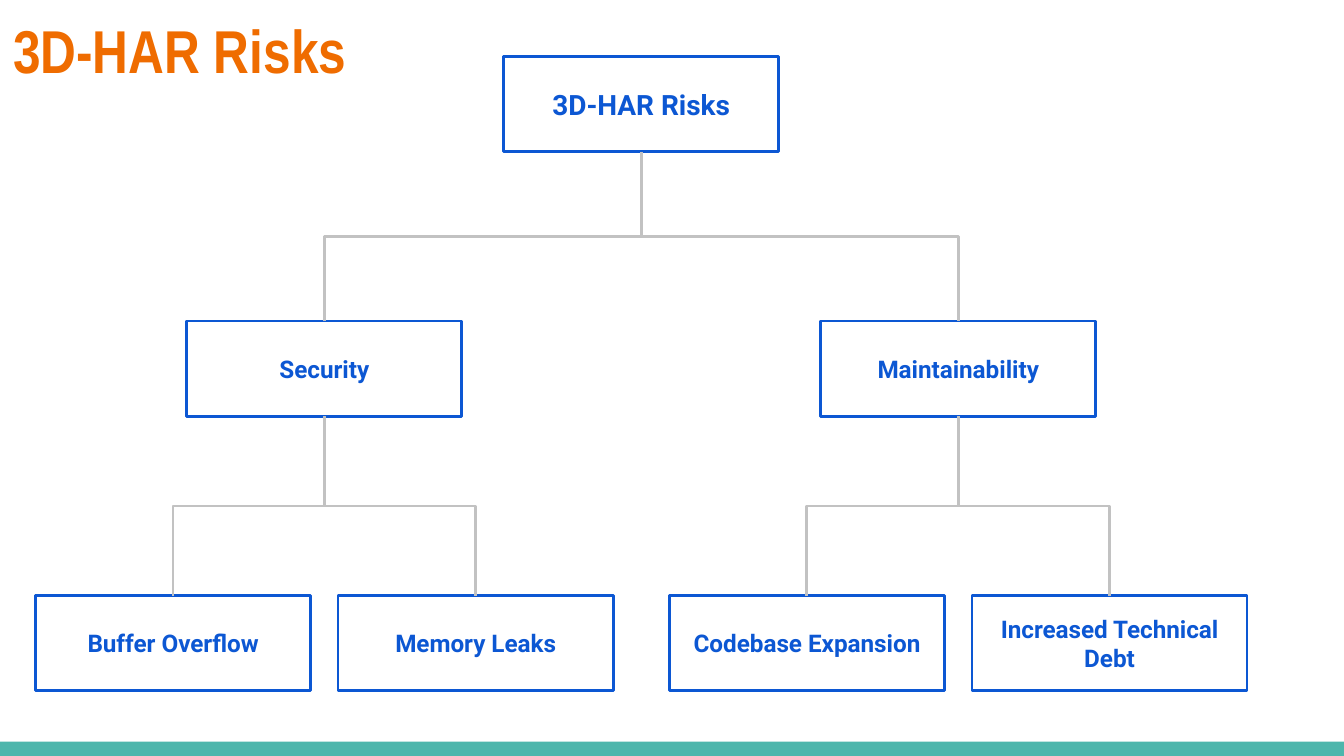
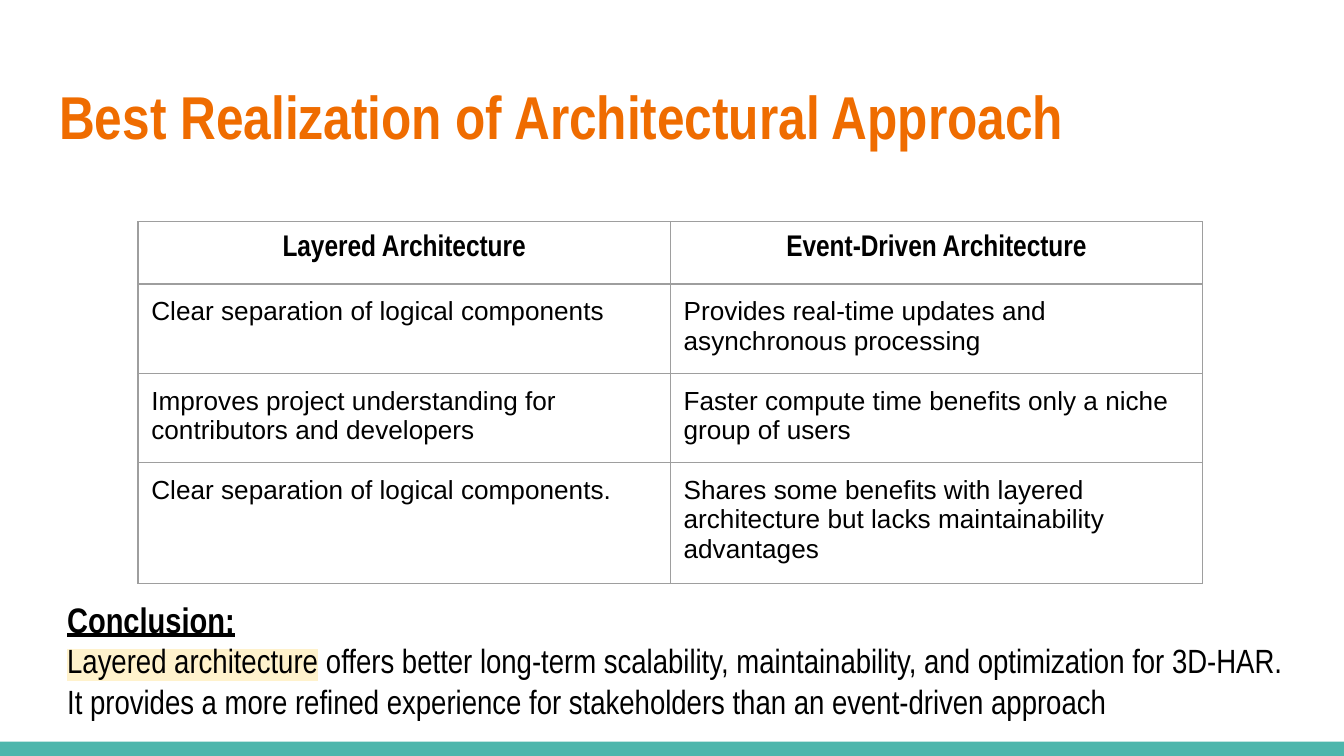
from lxml import etree
from pptx import Presentation
from pptx.dml.color import RGBColor
from pptx.enum.shapes import MSO_CONNECTOR, MSO_SHAPE
from pptx.enum.text import MSO_ANCHOR, PP_ALIGN
from pptx.oxml.ns import qn
from pptx.util import Cm, Pt

RECTANGLE, ELBOW = MSO_SHAPE.RECTANGLE, MSO_CONNECTOR.ELBOW
LEFT, CENTER = PP_ALIGN.LEFT, PP_ALIGN.CENTER
TOP, MIDDLE = MSO_ANCHOR.TOP, MSO_ANCHOR.MIDDLE

# Content
RISK_TITLE = "3D-HAR Risks"
RISK_TREE = ("3D-HAR Risks", [
    ("Security", [("Buffer Overflow", []), ("Memory Leaks", [])]),
    ("Maintainability", [("Codebase Expansion", []), ("Increased Technical Debt", [])]),
])
APPROACH_TITLE = "Best Realization of Architectural Approach"
COMPARISON = [
    ("Layered Architecture", "Event-Driven Architecture"),
    ("Clear separation of logical components",
     "Provides real-time updates and asynchronous processing"),
    ("Improves project understanding for contributors and developers",
     "Faster compute time benefits only a niche group of users"),
    ("Clear separation of logical components.",
     "Shares some benefits with layered architecture but lacks maintainability advantages"),
]
CONCLUSION_HEAD = "Conclusion:"
CONCLUSION_SUBJECT = "Layered architecture"
CONCLUSION_REST = (" offers better long-term scalability, maintainability, and optimization"
                   " for 3D-HAR. It provides a more refined experience for stakeholders"
                   " than an event-driven approach")

# Formats
TEAL, ORANGE, BLUE, BLACK = "4DB6AC", "EF6C00", "0C57D3", "000000"
LINK_GREY, BORDER_GREY, HIGHLIGHT = "C2C2C2", "9E9E9E", "FFF2CC"
NARROW = "Arial Narrow"
TITLE = {"name": NARROW, "size": Pt(32.4), "bold": True, "color": ORANGE}
ROOT = {"name": "Roboto", "size": Pt(15), "bold": True, "color": BLUE}
NODE = {**ROOT, "size": Pt(13)}
HEADER = {"name": NARROW, "size": Pt(16), "bold": True, "color": BLACK}
BODY = {"name": "Arial", "size": Pt(14), "bold": False, "color": BLACK}
CONCLUSION = {"name": NARROW, "size": Pt(18), "color": BLACK}
CONCLUSION_HEADING = {**CONCLUSION, "size": Pt(19), "bold": True, "underline": True}

# Geometry in centimetres
PAGE_WIDTH, PAGE_HEIGHT, BAND_HEIGHT = 25.4, 14.29, 0.27
NODE_WIDTH, NODE_HEIGHT = 5.2, 1.8
LEVEL_TOPS = [1.07, 6.07, 11.26]
CHILD_OFFSETS = [5.99, 2.86]
ROOT_CENTER = 12.12
INSET = Cm(0.25)
INSETS = dict.fromkeys(("margin_left", "margin_top", "margin_right", "margin_bottom"), INSET)


def rgb(color):
    return RGBColor.from_string(color)


def set_values(target, values):
    for name, value in values.items():
        setattr(target, name, value)


def add_span(para, text, style, highlight=None):
    span = para.add_run()
    span.text = text
    set_values(span.font, {key: value for key, value in style.items() if key != "color"})
    span.font.color.rgb = rgb(style["color"])
    if highlight:
        mark = etree.Element(qn("a:highlight"))
        etree.SubElement(mark, qn("a:srgbClr"), val=highlight)
        span.font._element.find(qn("a:solidFill")).addnext(mark)


def write(frame, text, style, align=LEFT, anchor=TOP):
    frame.word_wrap = True
    set_values(frame, {**INSETS, "vertical_anchor": anchor})
    para = frame.paragraphs[0]
    para.alignment = align
    add_span(para, text, style)


def add_box(page, left, top, width, height, fill=None, line=None):
    box = page.shapes.add_shape(RECTANGLE, Cm(left), Cm(top), Cm(width), Cm(height))
    box.shadow.inherit = False
    if fill:
        box.fill.solid()
        box.fill.fore_color.rgb = rgb(fill)
    else:
        box.fill.background()
    if line:
        box.line.color.rgb = rgb(line)
        box.line.width = Pt(1.5)
    else:
        box.line.fill.background()
    return box


def add_text(page, left, top, width, height, text, style):
    box = page.shapes.add_textbox(Cm(left), Cm(top), Cm(width), Cm(height))
    write(box.text_frame, text, style)
    return box.text_frame


def add_page(deck, title, left, top):
    page = deck.slides.add_slide(deck.slide_layouts[6])
    add_box(page, 0, PAGE_HEIGHT - BAND_HEIGHT, PAGE_WIDTH, BAND_HEIGHT, fill=TEAL)
    add_text(page, left, top, 23.67, 1.96, title, TITLE)
    return page


# Risk tree
def add_link(page, parent, child):
    """Elbow that runs vertically first: a quarter turn of the default one."""
    parent_x = parent.left + parent.width // 2
    child_x = child.left + child.width // 2
    parent_y, child_y = parent.top + parent.height, child.top
    to_right = child_x > parent_x
    first, last = ((parent, 2), (child, 0)) if to_right else ((child, 0), (parent, 2))
    link = page.shapes.add_connector(ELBOW, 0, 0, 0, 0)
    link.begin_connect(*first)
    link.end_connect(*last)
    width, height = child_y - parent_y, abs(child_x - parent_x)
    set_values(link, {"left": (parent_x + child_x - width) // 2,
                      "top": (parent_y + child_y - height) // 2,
                      "width": width, "height": height})
    properties = link._element.spPr
    frame = properties.find(qn("a:xfrm"))
    for name, value in (("rot", "16200000"), ("flipH", str(int(to_right))), ("flipV", "0")):
        frame.set(name, value)
    link.line.color.rgb = rgb(LINK_GREY)
    link.line.width = Pt(1.5)
    etree.SubElement(properties, qn("a:effectLst"))


def add_node(page, node, center, level=0):
    name, children = node
    box = add_box(page, center - NODE_WIDTH / 2, LEVEL_TOPS[level],
                  NODE_WIDTH, NODE_HEIGHT, line=BLUE)
    write(box.text_frame, name, NODE if level else ROOT, CENTER, MIDDLE)
    for side, child in zip((-1, 1), children):
        child_center = center + side * CHILD_OFFSETS[level]
        add_link(page, box, add_node(page, child, child_center, level + 1))
    return box


# Comparison table
def add_borders(cell):
    properties = cell._tc.get_or_add_tcPr()
    for index, side in enumerate(("lnL", "lnR", "lnT", "lnB")):
        border = etree.Element(qn("a:" + side), w=str(Pt(0.75)))
        fill = etree.SubElement(border, qn("a:solidFill"))
        etree.SubElement(fill, qn("a:srgbClr"), val=BORDER_GREY)
        properties.insert(index, border)


def add_comparison(page):
    column_width, row_height = Cm(10.06), Cm(1.06)
    rows, columns = len(COMPARISON), len(COMPARISON[0])
    table = page.shapes.add_table(rows, columns, Cm(2.61), Cm(4.19),
                                  column_width * columns, row_height * rows).table
    set_values(table, {"first_row": False, "horz_banding": False})
    for row_index, texts in enumerate(COMPARISON):
        style, align = (BODY, LEFT) if row_index else (HEADER, CENTER)
        for column_index, text in enumerate(texts):
            cell = table.cell(row_index, column_index)
            set_values(cell, INSETS)
            cell.fill.background()
            add_borders(cell)
            para = cell.text_frame.paragraphs[0]
            para.alignment = align
            add_span(para, text, style)


def main():
    deck = Presentation()
    set_values(deck, {"slide_width": Cm(PAGE_WIDTH), "slide_height": Cm(PAGE_HEIGHT)})

    risks = add_page(deck, RISK_TITLE, 0, 0)
    add_node(risks, RISK_TREE, ROOT_CENTER)

    approach = add_page(deck, APPROACH_TITLE, 0.87, 1.24)
    add_comparison(approach)
    frame = add_text(approach, 1.02, 11.05, 23.8, 2.51, CONCLUSION_HEAD, CONCLUSION_HEADING)
    para = frame.add_paragraph()
    add_span(para, CONCLUSION_SUBJECT, CONCLUSION, HIGHLIGHT)
    add_span(para, CONCLUSION_REST, CONCLUSION)

    deck.save("out.pptx")


if __name__ == "__main__":
    main()
